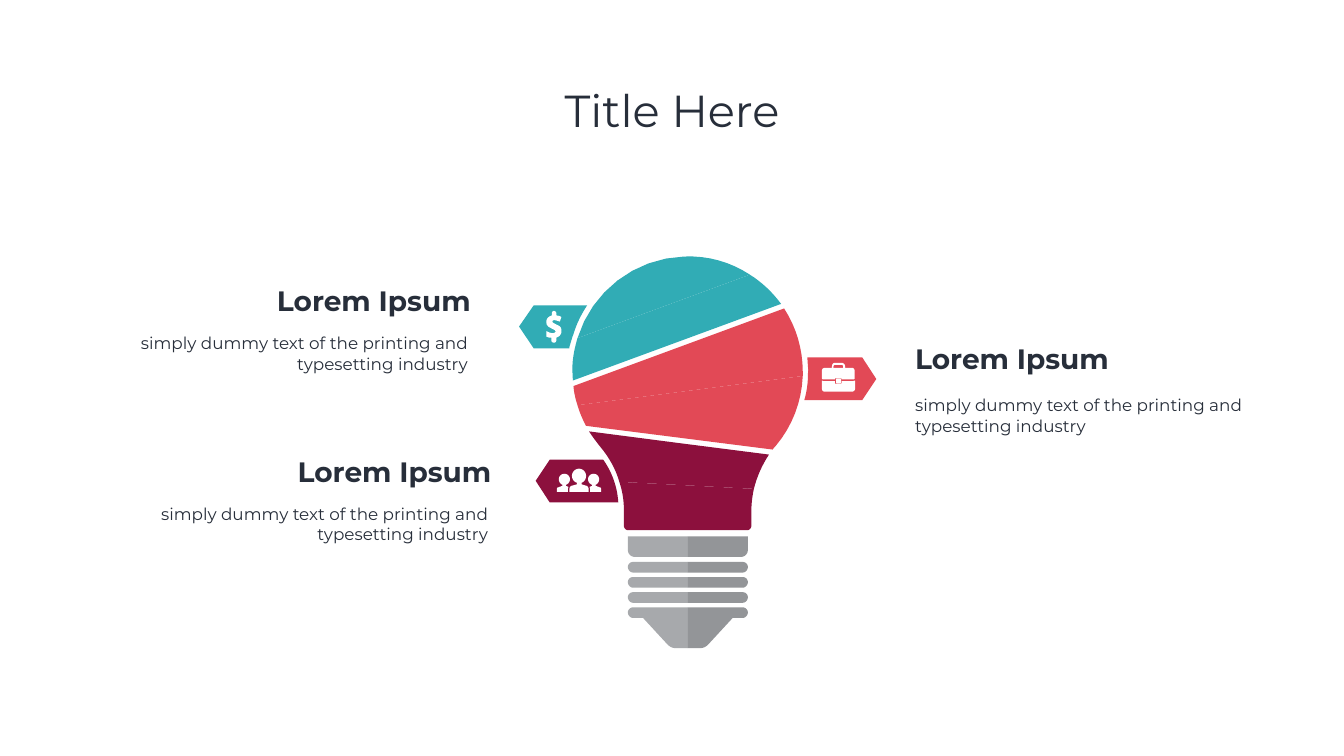
from pptx import Presentation
from pptx.dml.color import RGBColor
from pptx.enum.text import MSO_ANCHOR, MSO_AUTO_SIZE, PP_ALIGN
from pptx.util import Inches, Pt

W, H = Inches(26.67), Inches(15)
COL, ROW = W / 100, H / 100
CELL = Inches(0.01)
STEPS = 8
FONT = "Montserrat"
COLORS = {
    "teal": "31ACB5", "red": "E24956", "wine": "8C103D", "ink": "272E3A",
    "light": "A7A9AC", "dark": "939598", "white": "FFFFFF",
}
BASE_AXIS, PEOPLE_AXIS = 1365, 1149

TAGS = [
    ("teal", "1165,606 1154,623,1144,642,1138,663 1136,668 1130,688 1130,691 1059,691 1030,648 1059,606"),
    ("wine", "1227,997 1091,997 1063,954 1091,912 1197,912 1207,926,1215,942,1220,959 1224,971,1226,984,1227,997"),
    ("red", "1739,752 1711,794 1596,794 1600,781,1602,768,1603,755 1603,746 1604,734 1603,726,1603,718,1602,709 "
            "1711,709"),
]
BULB = [
    ("teal", "1146,671 1488,545 1450,520,1405,507,1358,509 1259,512,1174,579,1146,671"),
    ("teal", "1136,725 1136,735,1136,745,1137,755 1550,603 1533,580,1512,560,1488,545 1146,671 "
             "1141,688,1137,706,1136,725"),
    ("red", "1593,737 1593,693,1580,649,1556,612 1138,766 1139,779,1142,792,1146,804 1593,746 "
            "1593,743,1593,740,1593,737"),
    ("red", "1533,892 1535,890,1537,887,1540,884 1572,846,1591,797,1593,746 1146,804 "
            "1150,818,1156,832,1163,845"),
    ("wine", "1229,956 1496,970 1502,946,1512,923,1526,902 1346,879 1169,856 1176,867,1183,876,1190,885 "
             "1208,906,1222,931,1229,956"),
    ("wine", "1238,1010 1238,1043 1238,1048,1242,1052,1246,1052 1483,1052 1487,1052,1491,1048,1491,1043 "
             "1491,1014 1491,999,1493,984,1496,970 1229,956 1235,974,1238,992,1238,1010"),
]
COLLAR = "1246,1064 1246,1091 1246,1099,1252,1105,1260,1105 1365,1105 1365,1064"
RIB = "1246,1125 1246,1131,1251,1136,1256,1136 1365,1136 1365,1115 1256,1115 1251,1115,1246,1119,1246,1125"
TIP = ("1246,1215 1246,1221,1251,1226,1256,1226 1276,1226 1323,1277 1328,1283,1334,1286,1341,1286 "
       "1365,1286 1365,1205 1256,1205 1251,1205,1246,1210,1246,1215")
SIDE_PERSON = ("1190,967 1182,964 1182,962 1186,960,1189,956,1189,951 1189,945,1184,940,1178,940 "
               "1172,940,1167,945,1167,951 1167,956,1170,960,1175,962 1175,964 1170,966 "
               "1170,967,1171,969,1171,970 1171,976 1193,976 1193,971 1193,969,1192,967,1190,967")
LEAD_PERSON = ("1164,964 1154,961 1154,958 1159,956,1163,951,1163,944 1163,937,1157,930,1149,930 "
               "1141,930,1135,937,1135,944 1135,951,1139,956,1145,958 1145,961 1134,964 "
               "1132,965,1130,967,1130,970 1130,976 1168,976 1168,970 1168,969,1168,968,1167,967 "
               "1166,965,1165,964,1164,964")
DOLLAR = ("1104,644 1097,640 1096,638 1097,636 1100,635 1104,636 1111,638 1114,629 "
          "1111,627,1107,626,1104,626 1104,622 1104,619,1102,617,1099,617 1097,617,1095,619,1095,622 "
          "1095,626 1092,627,1090,628,1089,629 1086,631,1084,635,1084,639 1084,641,1085,643,1085,644 "
          "1088,648 1095,652 1101,655 1103,658 1101,660 1098,661 1095,661 1091,660 1084,657 1084,668 "
          "1090,670 1094,670 1094,675 1094,678,1097,680,1099,680 1102,680,1104,678,1104,675 1104,670 "
          "1106,669 1109,668,1111,666,1112,664 1114,662,1114,659,1114,657 "
          "1114,654,1114,651,1112,649 1111,647,1108,646,1104,644")
BRIEFCASE = [
    "1670,756 1670,760 1670,761,1669,762,1668,762 1660,762 1658,762,1657,761,1657,760 1657,756 1634,756 "
    "1633,756,1632,755,1631,755 1631,771 1631,774,1633,777,1636,777 1691,777 1694,777,1697,774,1697,771 "
    "1697,755 1695,755,1694,756,1693,756",
    "1691,730 1677,730 1677,727 1677,723,1674,720,1670,720 1657,720 1653,720,1651,723,1651,727 1651,730 "
    "1636,730 1633,730,1631,733,1631,736 1631,751 1631,752,1633,753,1634,753 1657,753 1657,752 "
    "1657,751,1658,750,1660,750 1668,750 1669,750,1670,751,1670,752 1670,753 1693,753 "
    "1694,753,1696,752,1696,751 1696,736 1696,733,1694,730,1691,730"
    "|1654,730 1654,727 1654,725,1656,724,1657,724 1670,724 1672,724,1673,725,1673,727 1673,730",
    "1668,761 1669,760 1669,752 1668,751 1660,751 1659,752 1659,760 1660,761",
]
LABELS = [
    (19.95, 37.13, 9.6, 43.73, PP_ALIGN.RIGHT),
    (21.49, 59.73, 11.1, 66.27, PP_ALIGN.RIGHT),
    (67.72, 44.87, 67.72, 51.93, PP_ALIGN.LEFT),
]


def flatten(outline):
    """Return the points of an outline whose items are line ends or cubic curves."""
    points = []
    for item in outline.split():
        n = [int(v) for v in item.split(",")]
        if len(n) == 2:
            points.append(tuple(n))
            continue
        ctrl = [points[-1], *zip(n[::2], n[1::2])]
        for i in range(1, STEPS + 1):
            t = i / STEPS
            weights = ((1 - t) ** 3, 3 * t * (1 - t) ** 2, 3 * t * t * (1 - t), t ** 3)
            points.append(tuple(sum(w * c[k] for w, c in zip(weights, ctrl)) for k in (0, 1)))
    return points


def add_outline(slide, outline, color, axis=None, down=0):
    """Draw a filled outline, mirrored about a column or moved down if asked."""
    builder = None
    for part in outline.split("|"):
        points = [((2 * axis - x if axis else x) * CELL, (y + down) * CELL)
                  for x, y in flatten(part)]
        if builder is None:
            builder = slide.shapes.build_freeform(*points[0], scale=1.0)
        else:
            builder.move_to(*points[0])
        builder.add_line_segments(points[1:], close=True)
    sp = builder.convert_to_shape()
    sp.shadow.inherit = False
    sp.fill.solid()
    sp.fill.fore_color.rgb = RGBColor.from_string(COLORS[color])
    sp.line.fill.background()


def style(p, size, align, bold=False):
    """Set the alignment and font of a paragraph."""
    p.alignment = align
    p.font.name, p.font.size, p.font.bold = FONT, Pt(size), bold
    p.font.color.rgb = RGBColor.from_string(COLORS["ink"])


def add_title(slide, text):
    """Fill and place the title placeholder."""
    sp = slide.shapes.title
    sp.left, sp.top, sp.width, sp.height = (
        int(6.88 * COL), int(5.33 * ROW), int(86.24 * COL), int(19.33 * ROW))
    tf = sp.text_frame
    tf.text = text
    tf.auto_size = MSO_AUTO_SIZE.NONE
    tf.vertical_anchor = MSO_ANCHOR.MIDDLE
    p = tf.paragraphs[0]
    p.line_spacing = 0.9
    style(p, 64, PP_ALIGN.CENTER)


def add_text(slide, text, box, size, align, bold=False):
    """Add a wrapped text box at columns and rows of the slide."""
    left, top, width, height = box
    sp = slide.shapes.add_textbox(int(left * COL), int(top * ROW), int(width * COL), int(height * ROW))
    tf = sp.text_frame
    tf.word_wrap = True
    tf.text = text
    style(tf.paragraphs[0], size, align, bold)
    return tf


def add_label(slide, head_col, head_row, body_col, body_row, align):
    """Add a heading and its body text."""
    add_text(slide, "simply dummy text of the printing and typesetting industry",
             (body_col, body_row, 25.57, 6.07), 24, align)
    tf = add_text(slide, "Lorem Ipsum", (head_col, head_row, 16, 5.13), 40, align, True)
    if align == PP_ALIGN.RIGHT:
        tf.margin_left, tf.margin_right = 0, Inches(0.25)


def add_base(slide):
    """Draw the screw base as a light half and its dark mirror half."""
    for color, axis in (("light", None), ("dark", BASE_AXIS)):
        add_outline(slide, COLLAR, color, axis)
        for i in range(3):
            add_outline(slide, RIB, color, axis, 30 * i)
        add_outline(slide, TIP, color, axis)


def add_icons(slide):
    """Draw the white icons on the tags."""
    add_outline(slide, SIDE_PERSON, "white")
    add_outline(slide, SIDE_PERSON, "white", PEOPLE_AXIS)
    for icon in (LEAD_PERSON, DOLLAR, *BRIEFCASE):
        add_outline(slide, icon, "white")


def main():
    """Build the slide and save it."""
    prs = Presentation()
    prs.slide_width, prs.slide_height = W, H
    slide = prs.slides.add_slide(prs.slide_layouts[5])
    add_title(slide, "Title Here")
    for color, outline in TAGS + BULB:
        add_outline(slide, outline, color)
    add_base(slide)
    add_icons(slide)
    for label in LABELS:
        add_label(slide, *label)
    prs.save("out.pptx")


if __name__ == "__main__":
    main()
